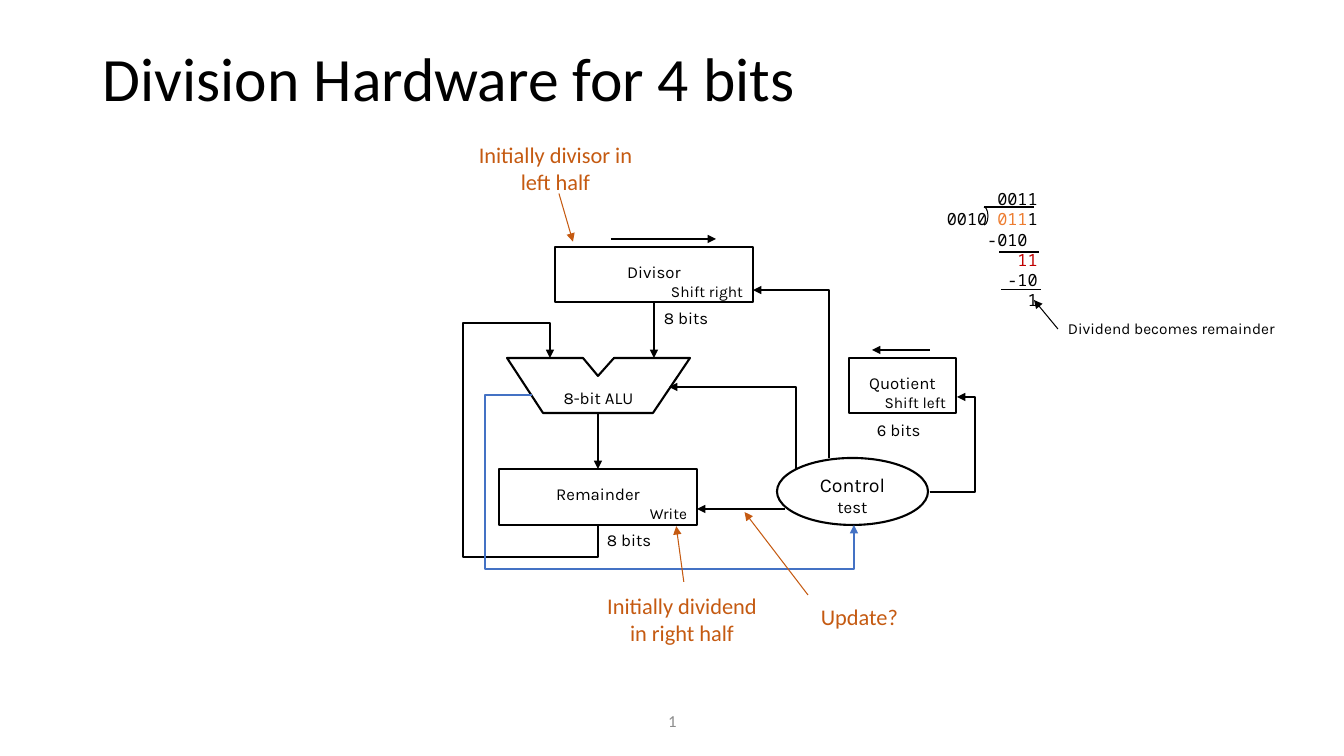
"""Build the slide on division hardware for 4 bits."""
from lxml import etree
from pptx import Presentation
from pptx.dml.color import RGBColor
from pptx.enum.shapes import MSO_CONNECTOR, MSO_SHAPE
from pptx.enum.text import MSO_ANCHOR, PP_ALIGN
from pptx.oxml.ns import qn
from pptx.util import Pt

PX = 914400 / 100.8
LEFT, MID, RIGHT = PP_ALIGN.LEFT, PP_ALIGN.CENTER, PP_ALIGN.RIGHT
TOP, CENTER, LOW = MSO_ANCHOR.TOP, MSO_ANCHOR.MIDDLE, MSO_ANCHOR.BOTTOM
RECT, OVAL = MSO_SHAPE.RECTANGLE, MSO_SHAPE.OVAL
CALLOUT, CURVE = MSO_SHAPE.LINE_CALLOUT_1_NO_BORDER, MSO_SHAPE.RIGHT_BRACKET
STRAIGHT = MSO_CONNECTOR.STRAIGHT
COLORS = {"ink": "000000", "blue": "4472C4", "rust": "C55A11",
          "gold": "ED7D31", "red": "C00000", "gray": "8C8C8C"}
STYLES = {
    "title": {"name": "Calibri", "size": Pt(44)},
    "page": {"name": "Calibri", "size": Pt(12)},
    "note": {"name": "Calibri", "size": Pt(16)},
    "large": {"name": "Karla", "size": Pt(14)},
    "label": {"name": "Karla", "size": Pt(12)},
    "small": {"name": "Karla", "size": Pt(11)},
    "mono": {"name": "Noto Sans Mono", "size": Pt(12)},
}


def draw(shape, color, width, arrow=False):
    shape.line.color.rgb = RGBColor.from_string(COLORS[color])
    shape.line.width = Pt(width)
    props = shape.element.spPr
    if arrow:
        etree.SubElement(props.find(qn("a:ln")), qn("a:tailEnd"), type="triangle")
    etree.SubElement(props, qn("a:effectLst"))


def write(shape, rows, anchor=TOP, wrap=True):
    frame = shape.text_frame
    frame.word_wrap, frame.vertical_anchor = wrap, anchor
    for i, (align, space, runs) in enumerate(rows):
        para = frame.paragraphs[0] if i == 0 else frame.add_paragraph()
        para.alignment, para.line_spacing = align, space
        for text, style, color in runs:
            run = para.add_run()
            run.text = text
            run.font.color.rgb = RGBColor.from_string(COLORS[color])
            for key, value in STYLES[style].items():
                setattr(run.font, key, value)


deck = Presentation()
deck.slide_width, deck.slide_height = int(1344 * PX), int(756 * PX)
shapes = deck.slides.add_slide(deck.slide_layouts[6]).shapes

texts = [
    ("Division Hardware for 4 bits", "title", "ink", (93, 40, 1159, 84), LEFT, 0.9, CENTER),
    ("1", "page", "gray", (446, 701, 453, 40), MID, 1, CENTER),
    ("8 bits", "label", "ink", (597, 525, 80, 30), LEFT, 1, TOP),
    ("8 bits", "label", "ink", (654, 303, 80, 30), LEFT, 1, TOP),
    ("6 bits", "label", "ink", (867, 415, 80, 30), LEFT, 1, TOP),
    ("Dividend becomes remainder", "small", "ink", (1058, 314, 242, 29), LEFT, 1, TOP),
]
for text, style, color, place, align, space, anchor in texts:
    box = shapes.add_textbox(*[int(v * PX) for v in place])
    write(box, [(align, space, [(text, style, color)])], anchor)

units = {}
for name, action, place, width in [
    ("Remainder", "Write", (499, 469, 198, 56), 1.5),
    ("Divisor", "Shift right", (555, 247, 198, 55), 1.75),
    ("Quotient", "Shift left", (849, 358, 107, 55), 1.5),
]:
    unit = shapes.add_shape(RECT, *[int(v * PX) for v in place])
    unit.fill.background()
    draw(unit, "ink", width)
    write(unit, [(MID, 1.5, [(name, "label", "ink")]),
                 (RIGHT, 1, [(action, "small", "ink")])])
    units[name] = unit

control = shapes.add_shape(OVAL, *[int(v * PX) for v in (777, 458, 151, 67)])
control.fill.background()
draw(control, "ink", 1.5)
write(control, [(MID, 1, [("Control", "large", "ink")]),
                (MID, 1, [("test", "label", "ink")])], wrap=False)

paths = [
    ("ink", 1.5, [(507, 358), (583, 358), (598, 376), (614, 358),
                  (690, 358), (653, 413), (543, 413)]),
    ("ink", 1.25, [(930, 492), (975, 492), (975, 397), (957, 397)]),
    ("ink", 1.25, [(796, 469), (796, 387), (669, 387)]),
    ("ink", 1.25, [(829, 458), (829, 290), (753, 290)]),
    ("ink", 1.25, [(598, 525), (598, 557), (463, 557), (463, 323), (550, 323), (550, 358)]),
    ("blue", 1.25, [(532, 395), (485, 395), (485, 569), (854, 569), (854, 525)]),
]
for i, (color, width, points) in enumerate(paths):
    pen = shapes.build_freeform(*points[0], scale=PX)
    pen.add_line_segments(points[1:], close=i == 0)
    outline = pen.convert_to_shape()
    outline.fill.background()
    draw(outline, color, width, arrow=i > 0)
    if i == 0:
        write(outline, [(MID, 1, [("8-bit ALU", "label", "ink")])], LOW)

lines = [
    ((598, 413, 598, 469), 1.25, True, None, "Remainder"),
    ((654, 302, 654, 358), 1.25, True, "Divisor", None),
    ((930, 350, 872, 350), 1.25, True, None, None),
    ((785, 509, 697, 509), 1.25, True, None, None),
    ((611, 239, 716, 239), 1.25, True, None, None),
    ((1034, 207, 984, 207), 0.75, False, None, None),
    ((1039, 252, 999, 252), 0.75, False, None, None),
    ((1041, 290, 1001, 290), 0.75, False, None, None),
    ((1058, 329, 1034, 300), 0.75, True, None, None),
]
for ends, width, arrow, source, target in lines:
    line = shapes.add_connector(STRAIGHT, *[int(v * PX) for v in ends])
    draw(line, "ink", width, arrow)
    if source:
        line.begin_connect(units[source], 2)
    if target:
        line.end_connect(units[target], 0)

notes = [
    (["Initially divisor in left half"], (468, 136, 175, 64), MID, (0.9, 0.52, 1.65, 0.6)),
    (["Initially dividend", "in right half"], (587, 587, 190, 64), MID,
     (-0.08, 0.51, -0.95, 0.47)),
    (["Update?"], (811, 598, 151, 38), LEFT, (-0.08, -0.02, -2.26, -0.44)),
]
for words, place, align, pointer in notes:
    note = shapes.add_shape(CALLOUT, *[int(v * PX) for v in place])
    note.fill.background()
    for i, value in enumerate(pointer):
        note.adjustments[i] = value
    draw(note, "rust", 0.75, True)
    write(note, [(align, 1, [(word, "note", "rust")]) for word in words])

steps = [
    (5, [("0011", "ink")]),
    (0, [("0010 ", "ink"), ("011", "gold"), ("1", "ink")]),
    (4, [("-010", "ink")]),
    (7, [("11", "red")]),
    (6, [("-10", "ink")]),
    (8, [("1", "ink")]),
]
work = shapes.add_textbox(*[int(v * PX) for v in (937, 184, 113, 152)])
write(work, [(LEFT, 1, [(text, "mono", color) for text, color in runs])
             for _, runs in steps])
for para, (column, _) in zip(work.text_frame.paragraphs, steps):
    para._p.get_or_add_pPr().set("marL", str(int(column * Pt(7.2))))

curve = shapes.add_shape(CURVE, *[int(v * PX) for v in (984, 207, 4, 18)])
curve.fill.background()
curve.adjustments[0] = 2.25
draw(curve, "ink", 0.75)

deck.save("out.pptx")
